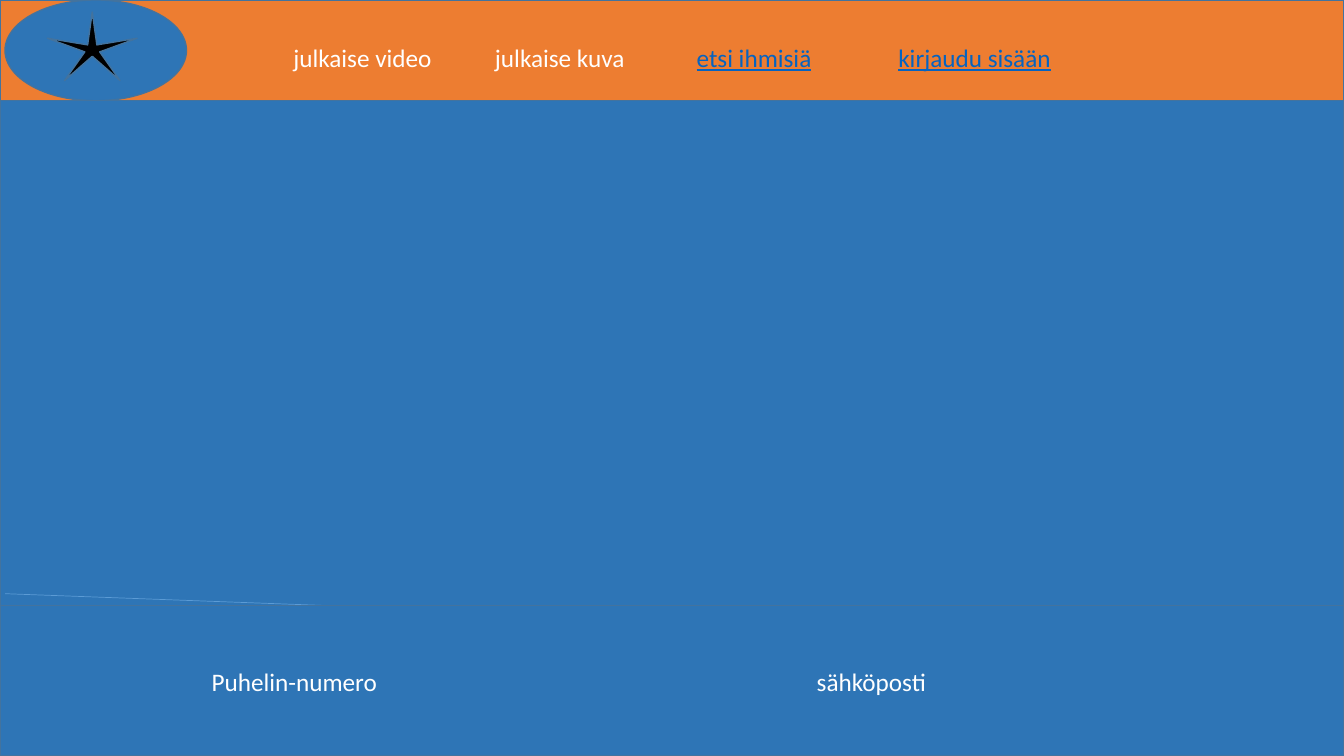
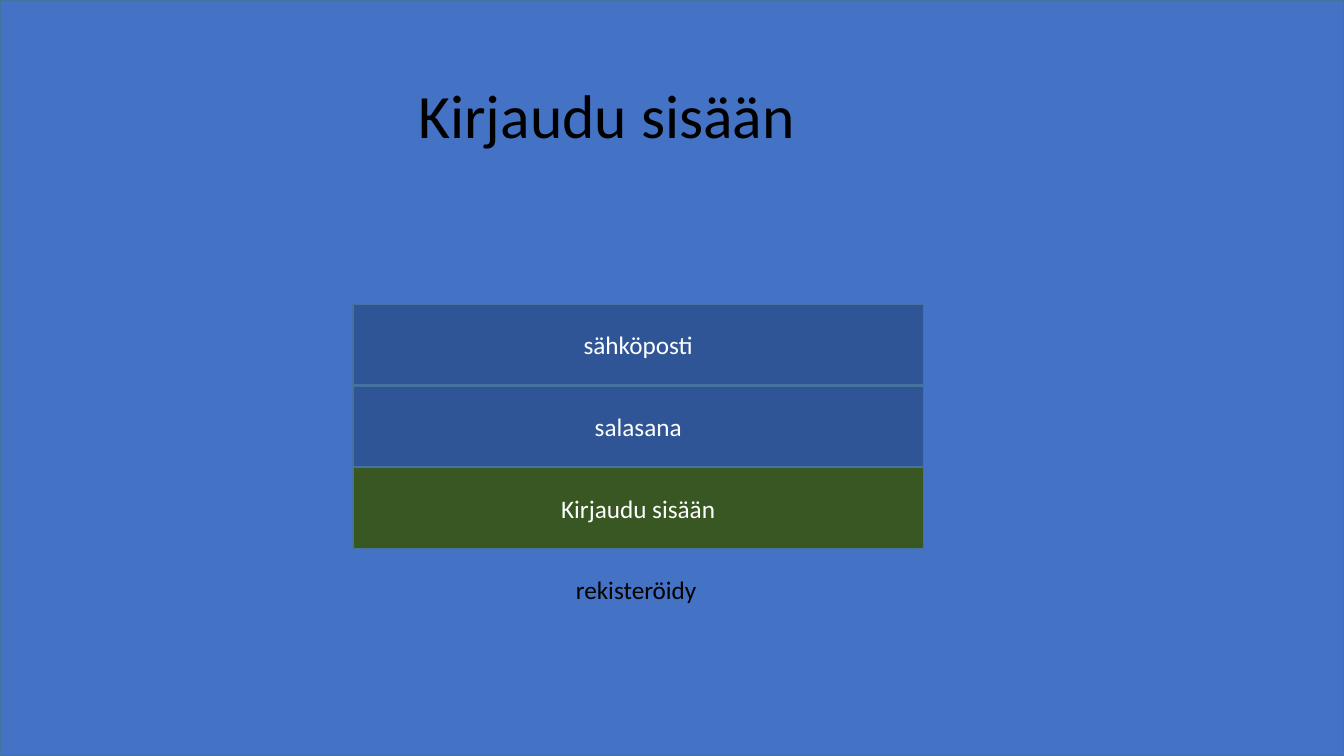
import pptx
import pptx.util
import pptx.dml.color
import pptx.enum.shapes
import pptx.enum.text
import pptx.oxml.ns
import lxml.etree

Inches = pptx.util.Inches
Pt = pptx.util.Pt
Shape = pptx.enum.shapes.MSO_SHAPE
Align = pptx.enum.text.PP_ALIGN
Anchor = pptx.enum.text.MSO_ANCHOR

WIDE, HIGH = 13.33, 7.5
FONT = "Calibri"
WHITE, BLACK, LINK = "FFFFFF", "000000", "0563C1"
ORANGE, BLUE, EDGE, PALE = "ED7D31", "2E75B6", "43739E", "5B9BD5"
BACK, FIELD, GREEN = "4472C4", "2F5597", "385723"


def color(code):
    return pptx.dml.color.RGBColor.from_string(code)


def write(frame, text, size=18, ink=WHITE, align=Align.LEFT, under=False):
    frame.word_wrap = True
    frame.vertical_anchor = Anchor.MIDDLE
    para = frame.paragraphs[0]
    para.alignment = align
    run = para.add_run()
    run.text = text
    font = run.font
    font.name = FONT
    font.size = Pt(size)
    font.underline = under
    font.color.rgb = color(ink)


def block(slide, kind, left, top, width, height, fill):
    shape = slide.shapes.add_shape(
        kind, Inches(left), Inches(top), Inches(width), Inches(height))
    shape.shadow.inherit = False
    shape.fill.solid()
    shape.fill.fore_color.rgb = color(fill)
    shape.line.color.rgb = color(EDGE)
    shape.line.width = Pt(1)
    return shape


def label(slide, text, left, top, width, height, **style):
    box = slide.shapes.add_textbox(
        Inches(left), Inches(top), Inches(width), Inches(height))
    box.text_frame.margin_left = box.text_frame.margin_right = 0
    write(box.text_frame, text, **style)


def rule(slide, left, top, right, low):
    line = slide.shapes.add_connector(
        pptx.enum.shapes.MSO_CONNECTOR.STRAIGHT,
        Inches(left), Inches(top), Inches(right), Inches(low))
    line.line.color.rgb = color(PALE)
    line.line.width = Pt(0.5)
    lxml.etree.SubElement(
        line._element.spPr, pptx.oxml.ns.qn("a:effectLst"))


def home(slide):
    block(slide, Shape.RECTANGLE, 0, 0, WIDE, 1.13, ORANGE)
    block(slide, Shape.OVAL, 0.05, 0, 1.8, 1, BLUE)
    star = block(slide, Shape.STAR_5_POINT, 0.47, 0.12, 0.89, 0.68, BLACK)
    star.adjustments[0] = 0.083
    block(slide, Shape.RECTANGLE, 0, 1, WIDE, HIGH - 1, BLUE)
    rule(slide, 0.05, 5.89, WIDE, 6.38)
    block(slide, Shape.RECTANGLE, 0, 6.01, WIDE, 1.49, BLUE)

    menu = [("julkaise video", False), ("julkaise kuva", False),
            ("etsi ihmisiä", True), ("kirjaudu sisään", True)]
    for i, (text, under) in enumerate(menu):
        label(slide, text, 2.91 + 2 * i, 0.37, 1.9, 0.4,
              ink=LINK if under else WHITE, under=under)
    for i, text in enumerate(["Puhelin-numero", "sähköposti"]):
        label(slide, text, 2.1 + 6 * i, 6.56, 2.5, 0.4)


def login(slide):
    block(slide, Shape.RECTANGLE, 0, 0, WIDE, HIGH, BACK)
    label(slide, "Kirjaudu sisään", 4.15, 0.4, 8.27, 1.45,
          size=44, ink=BLACK)
    rows = [("sähköposti", FIELD), ("salasana", FIELD),
            ("Kirjaudu sisään", GREEN)]
    for i, (text, fill) in enumerate(rows):
        row = block(slide, Shape.RECTANGLE, 3.5, 3.02 + 0.81 * i,
                    5.66, 0.8, fill)
        write(row.text_frame, text, align=Align.CENTER)
    label(slide, "rekisteröidy", 5.61, 5.65, 1.4, 0.4,
          ink=BLACK, align=Align.CENTER)


def main():
    deck = pptx.Presentation()
    deck.slide_width = Inches(WIDE)
    deck.slide_height = Inches(HIGH)
    for draw in (home, login):
        draw(deck.slides.add_slide(deck.slide_layouts[6]))
    deck.save("out.pptx")


if __name__ == "__main__":
    main()
